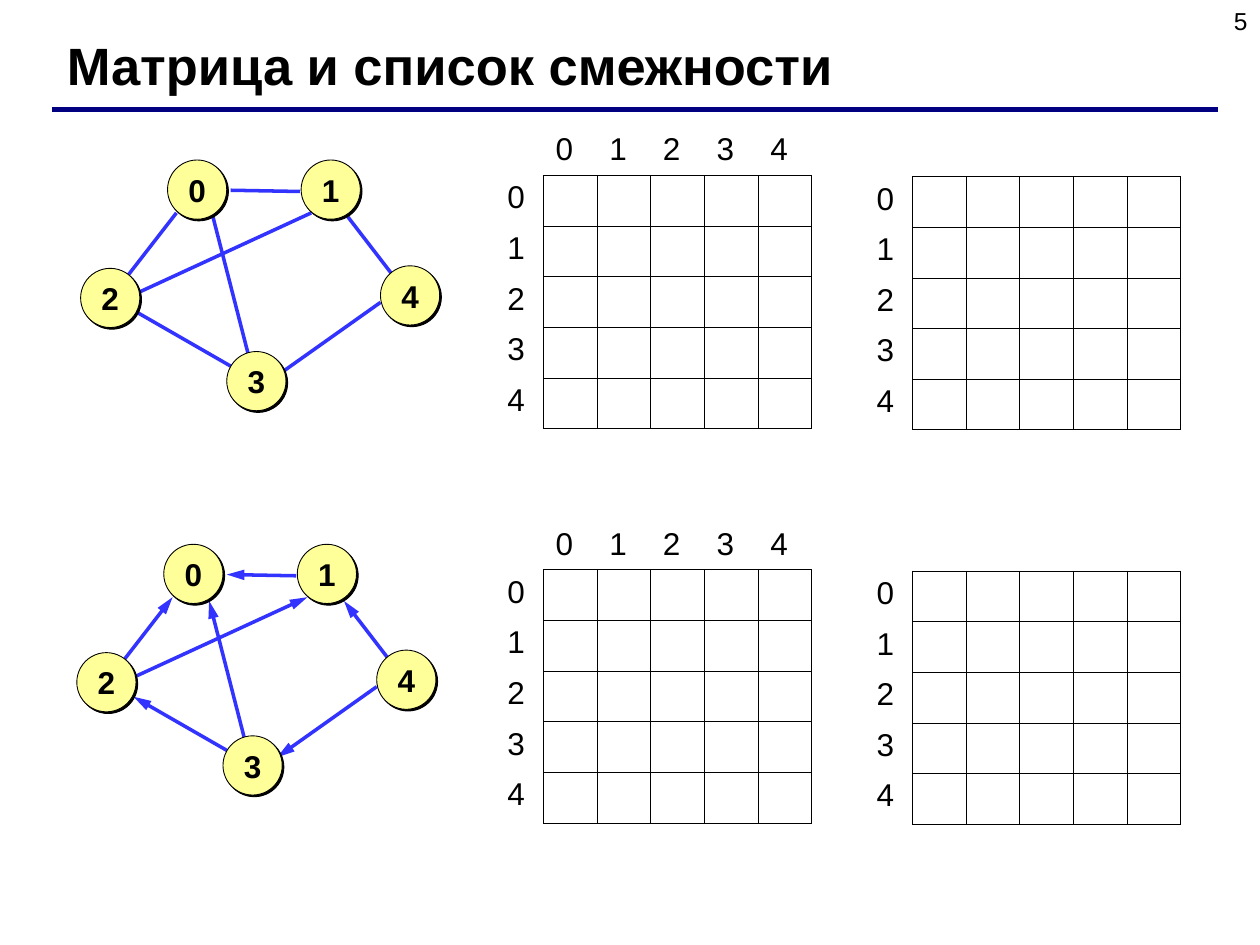
from lxml import etree
from pptx import Presentation
from pptx.dml.color import RGBColor
from pptx.enum.shapes import MSO_CONNECTOR, MSO_SHAPE
from pptx.enum.text import MSO_ANCHOR, MSO_AUTO_SIZE, PP_ALIGN
from pptx.oxml.ns import qn
from pptx.util import Inches, Pt

LEFT, CENTER, RIGHT = PP_ALIGN.LEFT, PP_ALIGN.CENTER, PP_ALIGN.RIGHT
MIDDLE = MSO_ANCHOR.MIDDLE
STRAIGHT, OVAL = MSO_CONNECTOR.STRAIGHT, MSO_SHAPE.OVAL

COLORS = {"text": "000000", "rule": "000080", "edge": "3333FF", "node": "FFFF99"}
FONT = "Arial"
NO_STYLE = "{2D5ABB26-0587-4C30-8999-92F81FD0307C}"

N = 5
COL, ROW, HEADER = 2.13 / N, 2.01 / N, 0.43
LABELS = [str(i) for i in range(N)]

# Offsets inside a graph, in inches
NODE = 0.47
NODES = {"0": (0.69, 0), "1": (1.75, 0), "2": (0, 0.86),
         "3": (1.16, 1.52), "4": (2.38, 0.84)}
# Each edge starts at the node its arrow points to
EDGES = [((0.76, 0.42), (0.38, 0.91)), ((1.05, 0.45), (1.33, 1.54)),
         ((1.19, 0.24), (1.74, 0.25)), ((1.83, 0.42), (0.44, 1.06)),
         ((2.12, 0.45), (2.52, 0.97)), ((1.59, 1.69), (2.38, 1.13)),
         ((0.45, 1.21), (1.32, 1.71))]


def rgb(name):
    return RGBColor.from_string(COLORS[name])


def write(tf, text, size, align, bold=False):
    tf.text = text
    p = tf.paragraphs[0]
    p.alignment = align
    p.font.name, p.font.size, p.font.bold = FONT, Pt(size), bold
    p.font.color.rgb = rgb("text")


def add_line(shapes, start, end, color, width, arrow=False):
    line = shapes.add_connector(STRAIGHT, *map(Inches, start + end))
    line.line.color.rgb = rgb(color)
    line.line.width = Pt(width)
    if arrow:
        etree.SubElement(line.line._get_or_add_ln(), qn("a:headEnd"),
                         type="triangle", w="med", len="lg")
    etree.SubElement(line._element.spPr, qn("a:effectLst"))


def add_node(shapes, label, x, y):
    s = shapes.add_shape(OVAL, *map(Inches, (x, y, NODE, NODE)))
    s.fill.solid()
    s.fill.fore_color.rgb = rgb("node")
    s.line.color.rgb = rgb("text")
    s.line.width = Pt(0.5)
    s.shadow.inherit = False
    effects = s._element.spPr.find(qn("a:effectLst"))
    shadow = etree.SubElement(effects, qn("a:outerShdw"), dist=str(Pt(1.4)),
                              dir="2700000", algn="ctr", rotWithShape="0")
    etree.SubElement(shadow, qn("a:srgbClr"), val=COLORS["text"])
    tf = s.text_frame
    tf.word_wrap = False
    tf.vertical_anchor = MIDDLE
    write(tf, label, 18, CENTER, bold=True)


def add_graph(slide, x, y, directed):
    shapes = slide.shapes.add_group_shape().shapes
    for (x1, y1), (x2, y2) in EDGES:
        add_line(shapes, (x + x1, y + y1), (x + x2, y + y2), "edge", 2, directed)
    for label, (dx, dy) in NODES.items():
        add_node(shapes, label, x + dx, y + dy)


def add_plain_table(slide, rows, cols, x, y, row_height):
    frame = slide.shapes.add_table(
        rows, cols, *map(Inches, (x, y, cols * COL, rows * row_height)))
    table = frame.table
    table.first_row = table.horz_banding = False
    table._tbl.tblPr.find(qn("a:tableStyleId")).text = NO_STYLE
    for cell in table.iter_cells():
        cell.fill.background()
    return table


def add_border(cell):
    pr = cell._tc.get_or_add_tcPr()
    for i, side in enumerate(("lnL", "lnR", "lnT", "lnB")):
        ln = etree.Element(qn("a:" + side), w=str(Pt(0.25)))
        fill = etree.SubElement(ln, qn("a:solidFill"))
        etree.SubElement(fill, qn("a:srgbClr"), val=COLORS["text"])
        pr.insert(i, ln)


def add_labels(slide, rows, cols, x, y, row_height, align):
    table = add_plain_table(slide, rows, cols, x, y, row_height)
    for cell, label in zip(table.iter_cells(), LABELS):
        write(cell.text_frame, label, 18, align)


def add_grid(slide, x, y, column_labels):
    """Empty N by N grid with row labels and, if asked, column labels."""
    for cell in add_plain_table(slide, N, N, x, y, ROW).iter_cells():
        add_border(cell)
    add_labels(slide, N, 1, x - COL, y - 0.01, ROW, CENTER)
    if column_labels:
        add_labels(slide, 1, N, x, y - 0.39, HEADER, LEFT)


def add_heading(slide):
    title = slide.shapes.title
    title.left, title.top, title.width, title.height = map(
        Inches, (0.43, 0.21, 8.9, 0.6))
    tf = title.text_frame
    tf.auto_size = MSO_AUTO_SIZE.NONE
    tf.vertical_anchor = MIDDLE
    write(tf, "Матрица и список смежности", 30, LEFT, bold=True)
    add_line(slide.shapes, (0.41, 0.87), (9.67, 0.87), "rule", 3)
    number = slide.shapes.add_textbox(*map(Inches, (7.67, 0, 2.33, 0.52)))
    number.text_frame.word_wrap = True
    write(number.text_frame, "5", 14, RIGHT)


def add_example(slide, graph_x, graph_y, grid_y, directed):
    """One graph beside its adjacency matrix and adjacency list."""
    add_grid(slide, 4.31, grid_y, column_labels=True)
    add_grid(slide, 7.24, grid_y + 0.01, column_labels=False)
    add_graph(slide, graph_x, graph_y, directed)


def main():
    prs = Presentation()
    prs.slide_width, prs.slide_height = Inches(10), Inches(7.5)
    slide = prs.slides.add_slide(prs.slide_layouts[5])
    add_heading(slide)
    add_example(slide, 0.64, 1.27, 1.39, directed=False)
    add_example(slide, 0.61, 4.32, 4.52, directed=True)
    prs.save("out.pptx")


if __name__ == "__main__":
    main()
